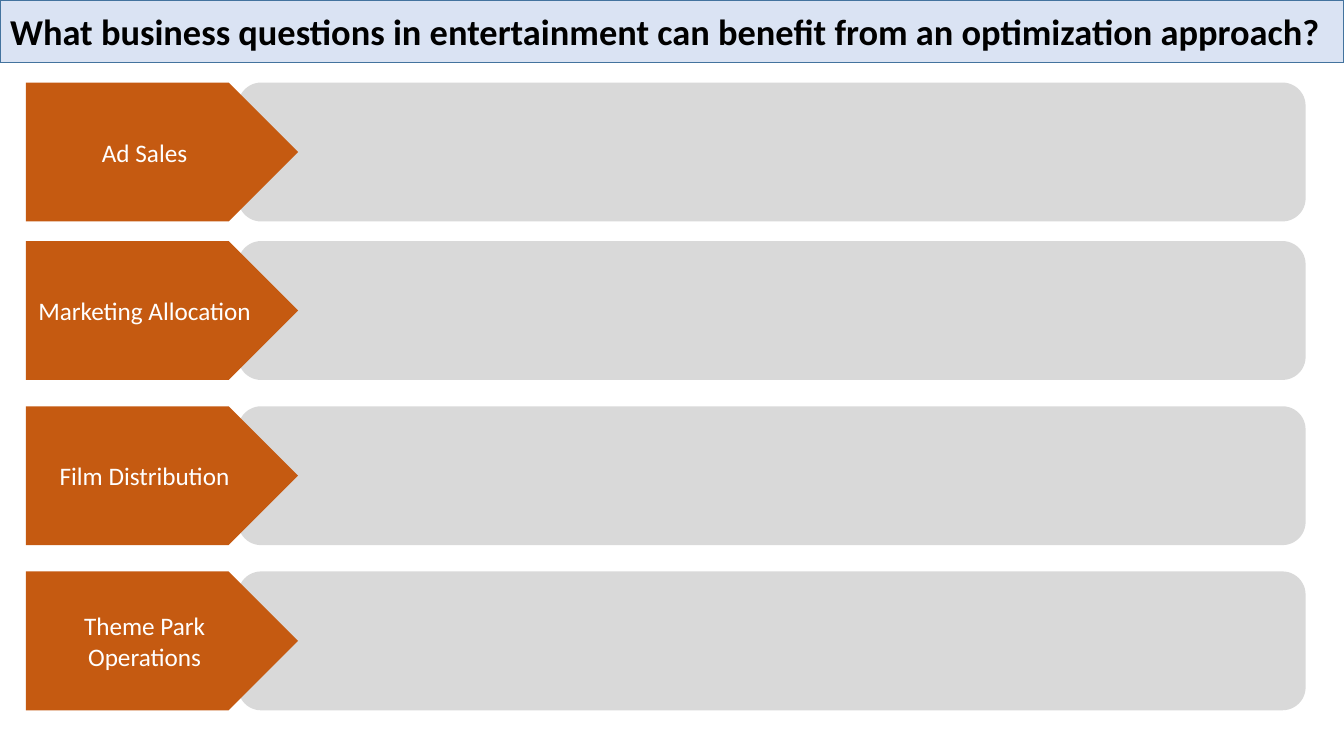
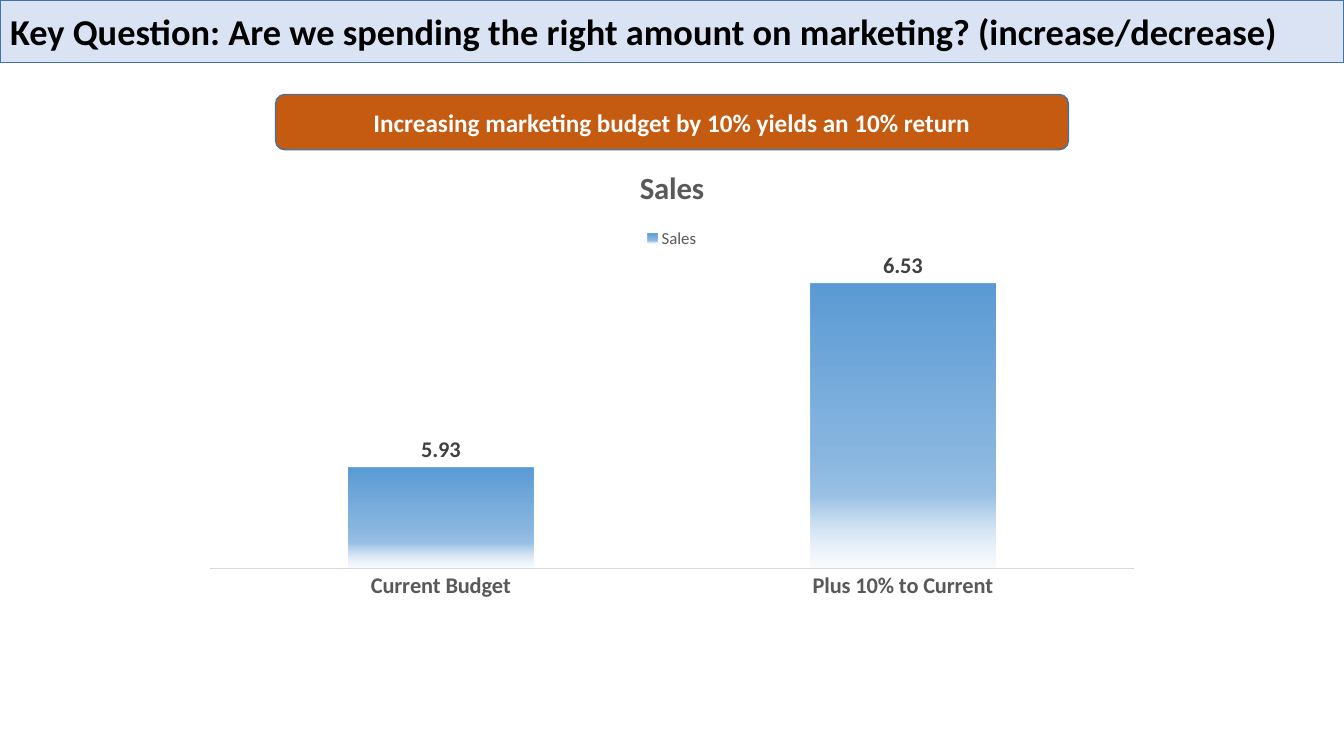
"""Build two slides on optimization questions in entertainment."""
from lxml.etree import fromstring
from pptx import Presentation
from pptx.chart.data import CategoryChartData
from pptx.dml.color import RGBColor
from pptx.enum.chart import XL_CHART_TYPE, XL_LABEL_POSITION, XL_LEGEND_POSITION, XL_TICK_MARK
from pptx.enum.shapes import MSO_SHAPE
from pptx.enum.text import MSO_ANCHOR, MSO_AUTO_SIZE, PP_ALIGN
from pptx.util import Pt

FONT = "Calibri"
ORANGE, OUTLINE, WHITE = "C55A11", "43739E", "FFFFFF"
GREY, TEXT_GREY = "D9D9D9", "595959"


def style_font(font, size, color, bold=False):
    font.name, font.size, font.bold = FONT, Pt(size), bold
    font.color.rgb = RGBColor.from_string(color)


def style_shape(shape, fill, line=None, text="", size=18, color=WHITE, bold=False, align=PP_ALIGN.CENTER):
    shape.fill.solid()
    shape.fill.fore_color.rgb = RGBColor.from_string(fill)
    if line:
        shape.line.color.rgb = RGBColor.from_string(line)
        shape.line.width = Pt(1)
    else:
        shape.line.fill.background()
    shape.shadow.inherit = False
    if text:
        frame = shape.text_frame
        frame.text = text
        frame.word_wrap = True
        frame.auto_size = MSO_AUTO_SIZE.NONE
        frame.vertical_anchor = MSO_ANCHOR.MIDDLE
        para = frame.paragraphs[0]
        para.alignment = align
        style_font(para.font, size, color, bold)


deck = Presentation()
deck.slide_width, deck.slide_height = Pt(960), Pt(540)

titles = [
    "What business questions in entertainment can benefit from an optimization approach?",
    "Key Question: Are we spending the right amount on marketing? (increase/decrease)",
]
pages = []
for text in titles:
    page = deck.slides.add_slide(deck.slide_layouts[5])
    title = page.shapes.title
    title.left, title.top, title.width, title.height = Pt(0), Pt(0), Pt(960), Pt(44.8)
    style_shape(title, "DAE3F3", OUTLINE, text, 26, "000000", True, PP_ALIGN.LEFT)
    pages.append(page)
questions_page, budget_page = pages

areas = [("Ad Sales", 59), ("Marketing Allocation", 172.2), ("Film Distribution", 290.2),
         ("Theme Park Operations", 408.2)]
for name, top in areas:
    row = questions_page.shapes.add_group_shape()
    panel = row.shapes.add_shape(MSO_SHAPE.ROUNDED_RECTANGLE, Pt(170), Pt(top), Pt(762.6), Pt(99.2))
    style_shape(panel, GREY)
    arrow = row.shapes.add_shape(MSO_SHAPE.PENTAGON, Pt(18.5), Pt(top), Pt(194.4), Pt(99.2))
    style_shape(arrow, ORANGE, text=name)

callout = budget_page.shapes.add_shape(
    MSO_SHAPE.ROUNDED_RECTANGLE, Pt(196.8), Pt(67.5), Pt(566.4), Pt(39.5))
style_shape(callout, ORANGE, OUTLINE, "Increasing marketing budget by 10% yields an 10% return", bold=True)

sales_data = CategoryChartData(number_format="0.00")
sales_data.categories = ["Current Budget", "Plus 10% to Current"]
sales_data.add_series("Sales", [5.93, 6.53])
chart = budget_page.shapes.add_chart(
    XL_CHART_TYPE.COLUMN_CLUSTERED, Pt(136.2), Pt(104.4), Pt(687.6), Pt(331.9), sales_data).chart
style_font(chart.font, 10, "000000")

chart.has_title = True
chart.chart_title.include_in_layout = False
heading = chart.chart_title.text_frame
heading.text = "Sales"
style_font(heading.paragraphs[0].runs[0].font, 22, TEXT_GREY, True)

chart.has_legend = True
chart.legend.position = XL_LEGEND_POSITION.TOP
chart.legend.include_in_layout = False
style_font(chart.legend.font, 12, TEXT_GREY)

category_axis = chart.category_axis
category_axis.major_tick_mark = category_axis.minor_tick_mark = XL_TICK_MARK.NONE
category_axis.format.line.color.rgb = RGBColor.from_string(GREY)
category_axis.format.line.width = Pt(0.75)
style_font(category_axis.tick_labels.font, 16, TEXT_GREY, True)

value_axis = chart.value_axis
value_axis.minimum_scale, value_axis.maximum_scale = 5.6, 6.6
value_axis.has_major_gridlines = False
value_axis.visible = False

plot = chart.plots[0]
plot.gap_width, plot.overlap = 150, -25
plot.vary_by_categories = False
plot.has_data_labels = True
labels = plot.data_labels
labels.show_value = True
labels.number_format, labels.number_format_is_linked = "0.00", False
labels.position = XL_LABEL_POSITION.OUTSIDE_END
style_font(labels.font, 16, "404040", True)

stops = [(0, "5B9BD5", 100), (51, "5B9BD5", 75), (75, "9DC3E6", 100), (100, "DEEBF7", 15)]
stop_xml = "".join(
    f'<a:gs pos="{place * 1000}"><a:srgbClr val="{color}"><a:alpha val="{opacity * 1000}"/></a:srgbClr></a:gs>'
    for place, color, opacity in stops)
gradient = fromstring(
    '<a:gradFill xmlns:a="http://schemas.openxmlformats.org/drawingml/2006/main">'
    f'<a:gsLst>{stop_xml}</a:gsLst><a:lin ang="5400000" scaled="0"/></a:gradFill>')
plot.series[0]._element.get_or_add_spPr().insert(0, gradient)

CHART_NS = "http://schemas.openxmlformats.org/drawingml/2006/chart"
plot_area = chart._chartSpace.chart.plotArea
for old_layout in plot_area.findall(f"{{{CHART_NS}}}layout"):
    plot_area.remove(old_layout)
plot_area.insert(0, fromstring(
    f'<c:layout xmlns:c="{CHART_NS}"><c:manualLayout><c:layoutTarget val="inner"/>'
    '<c:xMode val="edge"/><c:yMode val="edge"/><c:x val="0.02"/><c:y val="0.25"/>'
    '<c:w val="0.96"/><c:h val="0.66"/></c:manualLayout></c:layout>'))

deck.save("out.pptx")
